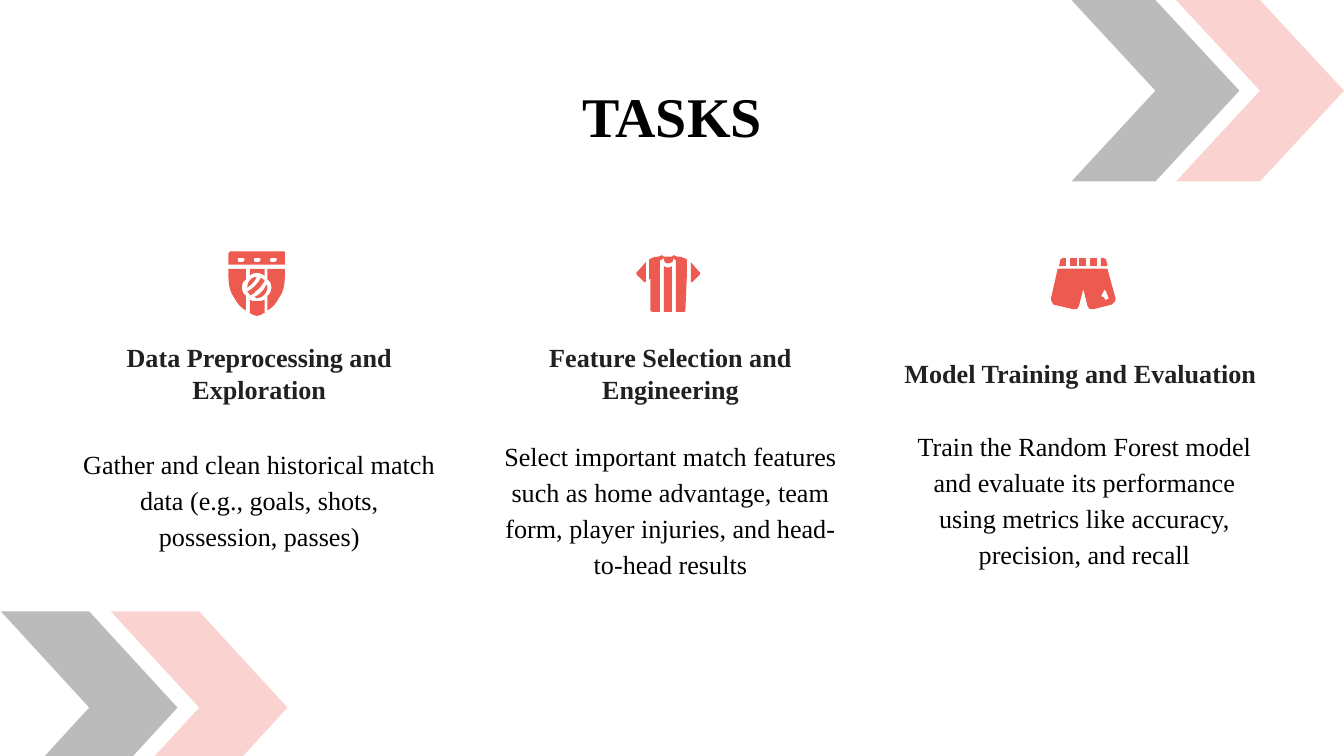
"""Build the TASKS slide: three task columns with sports icons and corner chevrons."""
from lxml import etree
from pptx import Presentation
from pptx.dml.color import RGBColor
from pptx.enum.shapes import MSO_SHAPE
from pptx.enum.text import MSO_ANCHOR, MSO_AUTO_SIZE, PP_ALIGN
from pptx.oxml.ns import qn
from pptx.util import Pt

CHEVRON = MSO_SHAPE.CHEVRON
MIDDLE = MSO_ANCHOR.MIDDLE
CENTER = PP_ALIGN.CENTER
NO_AUTOFIT = MSO_AUTO_SIZE.NONE
TITLE_ONLY = 5
GRID = 8
CURVE_STEPS = 6


def color(hex_string):
    return RGBColor.from_string(hex_string)


def moved(outline, dx, sign=1):
    return [tuple(dx + sign * v if i % 2 == 0 else v for i, v in enumerate(step))
            for step in outline]


def mirrored(outline, width):
    return moved(outline, width, -1)


def flattened(outline):
    """Turn points and six-value Bezier steps into grid points."""
    points = []
    for step in outline:
        if len(step) == 2:
            points.append(step)
            continue
        start = points[-1]
        for i in range(1, CURVE_STEPS + 1):
            t = i / CURVE_STEPS
            u = 1 - t
            points.append(tuple(
                u**3 * start[k] + 3 * u * u * t * step[k]
                + 3 * u * t * t * step[k + 2] + t**3 * step[k + 4]
                for k in (0, 1)))
    return [(x * GRID, y * GRID) for x, y in points]


class TaskSlide:
    """Holds the style and the current slide."""

    FONT = "Times New Roman"
    BLACK, DARK, CORAL, ICON = "000000", "212121", "F06F65", "ED5B50"

    def __init__(self, presentation):
        self.slide = presentation.slides.add_slide(presentation.slide_layouts[TITLE_ONLY])

    def paint(self, shape, fill):
        shape.shadow.inherit = False
        shape.fill.solid()
        shape.fill.fore_color.rgb = color(fill)
        shape.line.fill.background()

    def chevron(self, left, top, width, height, fill):
        arrow = self.slide.shapes.add_shape(CHEVRON, Pt(left), Pt(top), Pt(width), Pt(height))
        self.paint(arrow, fill)
        tint = next(arrow._element.spPr.iter(qn("a:srgbClr")))
        etree.SubElement(tint, qn("a:alpha"), val="30000")

    def icon(self, left, top, parts):
        for outlines in parts:
            first, *rest = [flattened(outline) for outline in outlines]
            builder = self.slide.shapes.build_freeform(*map(round, first[0]), scale=Pt(0.72 / GRID))
            builder.add_line_segments(first[1:])
            for hole in rest:
                builder.move_to(*map(round, hole[0]))
                builder.add_line_segments(hole[1:])
            self.paint(builder.convert_to_shape(Pt(left), Pt(top)), self.ICON)

    def fill_text(self, shape, box, text, ink, size=14, bold=False, spacing=1.0):
        for name, value in zip(("left", "top", "width", "height"), box):
            setattr(shape, name, Pt(value))
        frame = shape.text_frame
        frame.text = text
        layout = {"word_wrap": True, "auto_size": NO_AUTOFIT, "vertical_anchor": MIDDLE}
        layout.update({f"margin_{side}": Pt(7.2) for side in ("left", "top", "right", "bottom")})
        for name, value in layout.items():
            setattr(frame, name, value)
        paragraph = frame.paragraphs[0]
        paragraph.alignment = CENTER
        paragraph.line_spacing = spacing
        font = paragraph.runs[0].font
        for name, value in {"name": self.FONT, "size": Pt(size), "bold": bold}.items():
            setattr(font, name, value)
        font.color.rgb = color(ink)

    def title(self, box, text):
        self.fill_text(self.slide.shapes.title, box, text, self.BLACK, 30, True)

    def text(self, box, text, ink, **style):
        self.fill_text(self.slide.shapes.add_textbox(0, 0, 0, 0), box, text, ink, **style)


def crest():
    tab = [(16, 13), (16, 18), (17, 17, 19, 16, 21, 16), (23, 16, 25, 17, 27, 18), (27, 13)]
    band = [(2, 0), (1, 0, 0, 1, 0, 2), (0, 10), (42, 10), (42, 2), (42, 1, 42, 0, 41, 0)]
    slot = [(10, 5), (11, 5, 12, 5, 12, 6), (12, 7, 11, 8, 10, 8), (8, 8),
            (7, 8, 7, 7, 7, 6), (6, 6, 7, 5, 8, 5)]
    side = [(29, 13), (29, 21), (31, 22, 32, 24, 32, 27), (32, 29, 31, 32, 29, 33), (29, 44),
            (33, 42, 36, 38, 38, 34), (41, 30, 42, 24, 42, 19), (42, 13)]
    tip = [(16, 36), (16, 46), (18, 47, 20, 48, 21, 48), (23, 48, 25, 47, 26, 46), (27, 46),
           (27, 36), (25, 37, 23, 37, 21, 37), (19, 37, 17, 37, 16, 36)]
    ball_middle = [(24, 20), (21, 26, 16, 29, 14, 30), (15, 31, 16, 32, 16, 33),
                   (17, 32, 19, 32, 20, 30), (23, 28, 25, 25, 27, 22), (26, 21, 25, 20, 24, 20)]
    ball_right = [(28, 25), (26, 30, 22, 33, 19, 34), (20, 34, 21, 35, 21, 35),
                  (25, 35, 29, 31, 29, 27), (29, 26, 29, 25, 28, 25)]
    ball_left = [(21, 19), (17, 19, 14, 23, 14, 27), (15, 26, 19, 24, 21, 19)]
    slots = [moved(slot, dx) for dx in (0, 12, 24)]
    solid = (tab, side, mirrored(side, 42), tip, ball_middle, ball_right, ball_left)
    return [[band, *slots]] + [[outline] for outline in solid]


def shirt():
    sleeve = [(41, 5), (41, 20), (42, 20), (48, 14), (48, 13, 48, 12, 47, 12)]
    stripe = [(27, 8), (26, 9, 25, 9, 24, 9), (23, 9, 22, 9, 21, 8), (21, 42), (27, 42)]
    body = [(20, 0), (19, 0), (17, 1), (16, 1), (14, 1, 12, 2, 10, 3), (10, 18), (11, 17),
            (11, 41), (11, 42, 13, 42, 13, 42), (18, 42), (18, 4), (21, 2),
            (21, 5, 22, 6, 24, 6), (26, 6, 28, 5, 28, 3), (28, 2), (30, 4), (30, 42), (36, 42),
            (36, 42, 37, 42, 37, 41), (38, 17), (38, 3), (36, 2, 34, 1, 32, 1), (31, 1),
            (29, 0), (28, 0), (27, 1), (21, 1)]
    return [[outline] for outline in (sleeve, mirrored(sleeve, 48.5), stripe, body)]


def shorts():
    loop = [(0, 0), (0, 6), (5, 6), (5, 0)]
    end_loop = [(37, 0), (37, 6), (42, 6), (41, 1), (40, 1, 40, 0, 39, 0)]
    legs = [(5, 8), (0, 30), (0, 31, 0, 32, 1, 33), (1, 34, 2, 35, 3, 35), (16, 38),
            (17, 38, 18, 38, 19, 38), (20, 37, 21, 36, 21, 35), (24, 23), (27, 35),
            (27, 36, 28, 37, 29, 38), (30, 38, 31, 38, 32, 38), (44, 35),
            (45, 35, 46, 34, 47, 33), (48, 32, 48, 31, 48, 30), (42, 8)]
    badge = [(40, 24), (41, 24, 41, 25, 41, 25), (43, 30), (43, 30, 42, 31, 41, 31),
             (40, 31, 40, 31, 40, 30), (39, 29), (38, 29), (38, 29, 37, 28, 38, 27),
             (39, 25), (39, 24, 40, 24, 40, 24)]
    loops = [moved(loop, dx) for dx in (14, 21, 29)]
    return [[legs, badge]] + [[o] for o in (*loops, end_loop, mirrored(end_loop, 48))]


def main():
    presentation = Presentation()
    presentation.slide_width, presentation.slide_height = Pt(720), Pt(405)
    tasks = TaskSlide(presentation)

    for left, top, width, height, step in ((0.5, 327.6, 94.6, 103, 58.9),
                                           (574, 0, 90, 97.2, 56)):
        tasks.chevron(left, top, width, height, tasks.DARK)
        tasks.chevron(left + step, top, width, height, tasks.CORAL)

    tasks.title((56.2, 43.9, 607.7, 36), "TASKS")

    columns = (
        (36.7, 36.7, 92.2, "Data Preprocessing and Exploration",
         "Gather and clean historical match data (e.g., goals, shots, possession, passes)",
         (122.4, 134.64), crest()),
        (257, 257, 103, "Feature Selection and Engineering",
         "Select important match features such as home advantage, team form, "
         "player injuries, and head-to-head results",
         (340.56, 136.8), shirt()),
        (476.6, 478.8, 92.2, "Model Training and Evaluation",
         "Train the Random Forest model and evaluate its performance using metrics "
         "like accuracy, precision, and recall",
         (563.04, 138.24), shorts()),
    )
    for heading_left, detail_left, detail_height, heading, detail, corner, drawing in columns:
        tasks.icon(*corner, drawing)
        tasks.text((heading_left, 186.5, 204.5, 26.6), heading, tasks.DARK, bold=True)
        tasks.text((detail_left, 220.3, 204.5, detail_height), detail, tasks.BLACK, spacing=1.15)

    presentation.save("out.pptx")


if __name__ == "__main__":
    main()
